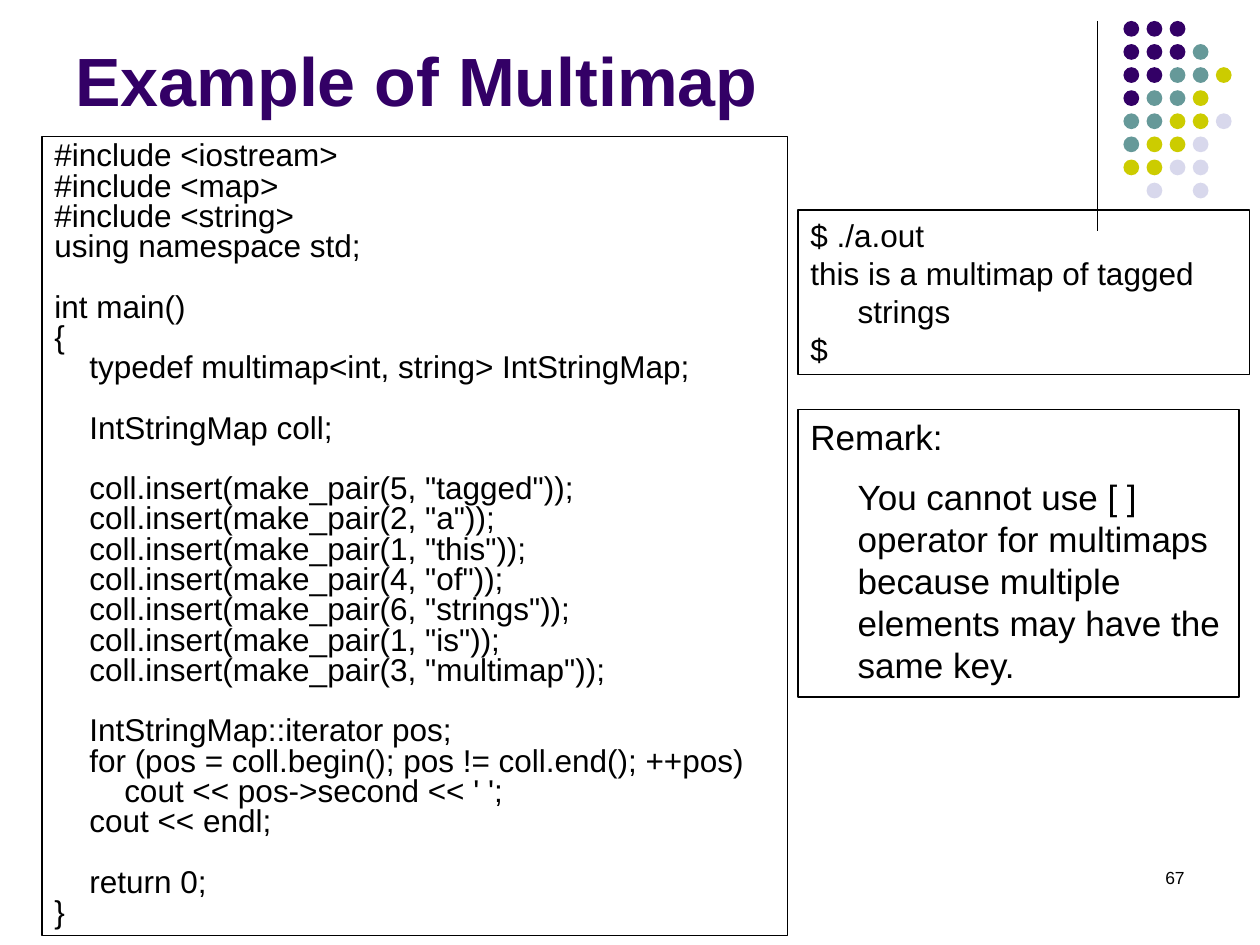
from dataclasses import dataclass, field

from lxml import etree
from pptx import Presentation
from pptx.dml.color import RGBColor
from pptx.enum.shapes import MSO_CONNECTOR, MSO_SHAPE
from pptx.enum.text import MSO_ANCHOR, PP_ALIGN
from pptx.oxml.ns import qn
from pptx.slide import Slide
from pptx.util import Emu, Pt

OVAL = MSO_SHAPE.OVAL
RECT = MSO_SHAPE.RECTANGLE
LINE = MSO_CONNECTOR.STRAIGHT
TOP, BASE = MSO_ANCHOR.TOP, MSO_ANCHOR.BOTTOM
LEFT, RIGHT = PP_ALIGN.LEFT, PP_ALIGN.RIGHT

SCALE = 7620
HANG = 45
FONT = "Arial"
COLORS = {
    "ink": "000000",
    "P": "330066",
    "T": "669999",
    "Y": "CCCC00",
    "L": "D8D8EC",
}
DOTS = ["PPP", "PPPT", "PPTTY", "PTTY", "TTYYL", "TYYL", "YYLL", " L L"]
DOT_LEFT, DOT_TOP, DOT_STEP, DOT_SIZE = 1070, 20, 22, 15

CODE = """#include <iostream>
#include <map>
#include <string>
using namespace std;

int main()
{
    typedef multimap<int, string> IntStringMap;

    IntStringMap coll;

    coll.insert(make_pair(5, "tagged"));
    coll.insert(make_pair(2, "a"));
    coll.insert(make_pair(1, "this"));
    coll.insert(make_pair(4, "of"));
    coll.insert(make_pair(6, "strings"));
    coll.insert(make_pair(1, "is"));
    coll.insert(make_pair(3, "multimap"));

    IntStringMap::iterator pos;
    for (pos = coll.begin(); pos != coll.end(); ++pos)
        cout << pos->second << ' ';
    cout << endl;

    return 0;
}"""


@dataclass
class Para:
    text: str
    margin: int = 0
    indent: int = 0
    form: dict = field(default_factory=dict)


@dataclass
class Box:
    left: int
    top: int
    width: int
    height: int
    paras: list[Para]
    size: int
    color: str = "ink"
    bold: bool = False
    framed: bool = True
    anchor: MSO_ANCHOR = TOP


def px(count: int) -> Emu:
    return Emu(count * SCALE)


def tint(name: str) -> RGBColor:
    return RGBColor.from_string(COLORS[name])


def apply(target: object, form: dict) -> None:
    for name, value in form.items():
        setattr(target, name, value)


def code_paras(code: str, gap: float) -> list[Para]:
    paras, blank = [], False
    for line in code.split("\n"):
        if line:
            form = {"line_spacing": 0.8, "space_before": Pt(gap if blank else 0)}
            paras.append(Para(line, form=form))
        blank = not line
    return paras


def draw_box(slide: Slide, box: Box) -> None:
    spot = [px(n) for n in (box.left, box.top, box.width, box.height)]
    if box.framed:
        shape = slide.shapes.add_shape(RECT, *spot)
        shape.shadow.inherit = False
        shape.fill.background()
        shape.line.color.rgb = tint("ink")
        shape.line.width = Pt(0.75)
    else:
        shape = slide.shapes.add_textbox(*spot)
    frame = shape.text_frame
    apply(frame, {"word_wrap": True, "vertical_anchor": box.anchor})
    for i, item in enumerate(box.paras):
        para = frame.paragraphs[0] if i == 0 else frame.add_paragraph()
        props = para._p.get_or_add_pPr()
        props.set("marL", str(px(item.margin)))
        props.set("indent", str(px(item.indent)))
        apply(para, {"alignment": LEFT} | item.form)
        run = para.add_run()
        run.text = item.text
        apply(run.font, {"name": FONT, "size": Pt(box.size), "bold": box.bold})
        run.font.color.rgb = tint(box.color)


def draw_rule(slide: Slide, x: int, top: int, base: int) -> None:
    rule = slide.shapes.add_connector(LINE, px(x), px(top), px(x), px(base))
    rule.line.color.rgb = tint("ink")
    rule.line.width = Pt(0.75)
    etree.SubElement(rule._element.spPr, qn("a:effectLst"))


def draw_dots(slide: Slide) -> None:
    group = slide.shapes.add_group_shape()
    for row, marks in enumerate(DOTS):
        for col, mark in enumerate(marks):
            if mark == " ":
                continue
            x, y = DOT_LEFT + col * DOT_STEP, DOT_TOP + row * DOT_STEP
            dot = group.shapes.add_shape(OVAL, px(x), px(y), px(DOT_SIZE), px(DOT_SIZE))
            dot.shadow.inherit = False
            dot.fill.solid()
            dot.fill.fore_color.rgb = tint(mark)
            dot.line.fill.background()


def main() -> None:
    deck = Presentation()
    apply(deck, {"slide_width": px(1200), "slide_height": px(900)})
    slide = deck.slides.add_slide(deck.slide_layouts[6])
    shell = ["$ ./a.out", "this is a multimap of tagged strings", "$"]
    remark = [
        Para("Remark:", HANG, -HANG),
        Para(
            "You cannot use [ ] operator for multimaps because multiple "
            "elements may have the same key.",
            HANG,
            form={"space_before": Pt(10)},
        ),
    ]
    boxes = [
        Box(860, 820, 280, 60, [Para("67", form={"alignment": RIGHT})], 10, framed=False),
        Box(60, 16, 990, 104, [Para("Example of Multimap")], 39, "P", True, False, BASE),
        Box(40, 130, 710, 761, code_paras(CODE, 17.3), 18),
        Box(760, 200, 430, 157, [Para(line, HANG, -HANG) for line in shell], 18),
        Box(760, 390, 420, 274, remark, 20),
    ]
    draw_rule(slide, 1045, 20, 220)
    draw_dots(slide)
    for box in boxes:
        draw_box(slide, box)
    deck.save("out.pptx")


if __name__ == "__main__":
    main()
